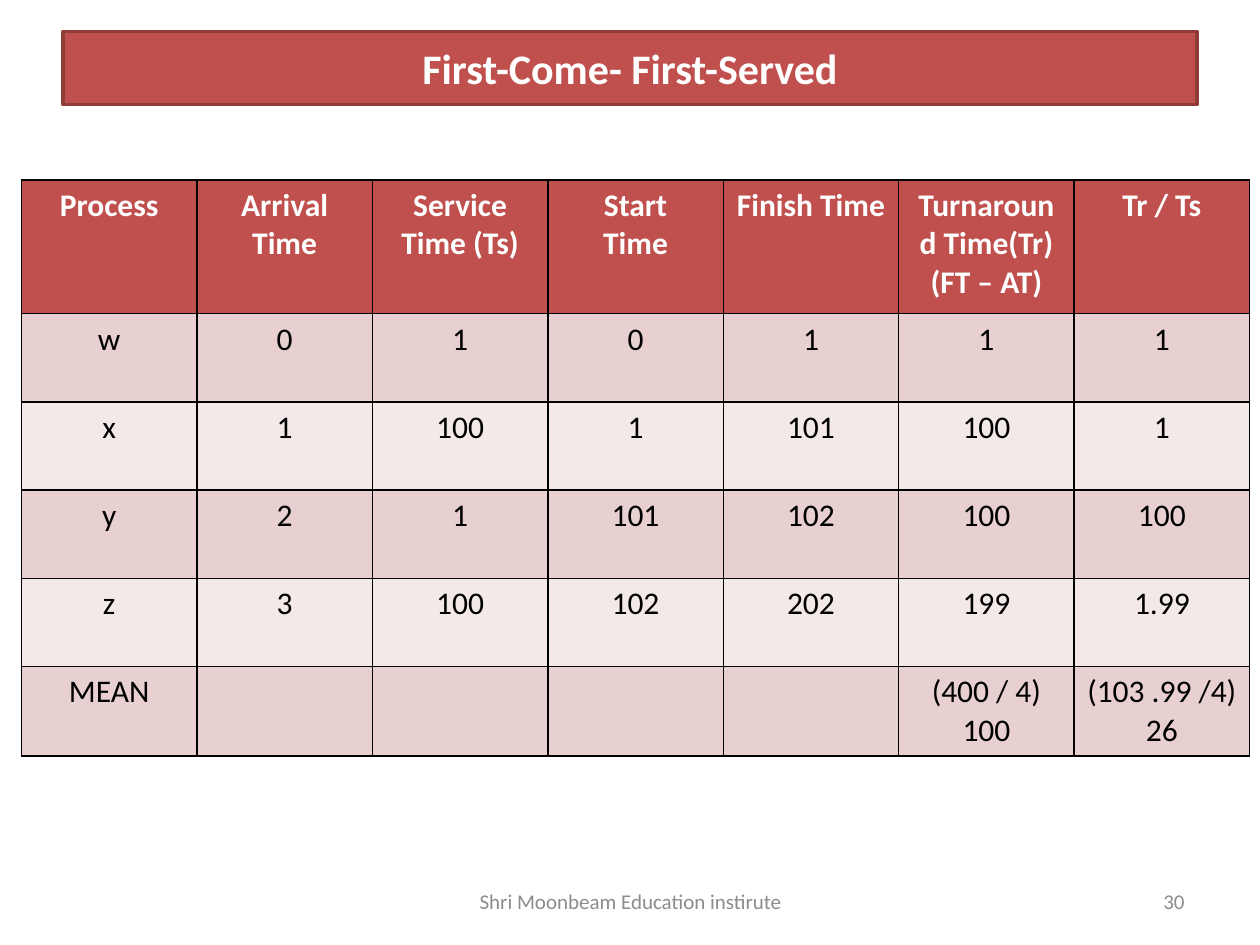
from lxml.etree import SubElement
from pptx import Presentation
from pptx.dml.color import RGBColor
from pptx.enum.shapes import MSO_SHAPE
from pptx.enum.text import MSO_ANCHOR, PP_ALIGN
from pptx.oxml.ns import qn
from pptx.util import Inches, Pt

RED, EDGE, BLACK, WHITE, GREY = "C0504D", "8E3B39", "000000", "FFFFFF", "8C8C8C"
BANDS = ["E8D0D0", "F4E9E9"]
ROWS = [
    ["Process", "Arrival Time", "Service Time (Ts)", "Start\nTime", "Finish Time",
     "Turnaround Time(Tr) (FT – AT)", "Tr / Ts"],
    ["w", "0", "1", "0", "1", "1", "1"],
    ["x", "1", "100", "1", "101", "100", "1"],
    ["y", "2", "1", "101", "102", "100", "100"],
    ["z", "3", "100", "102", "202", "199", "1.99"],
    ["MEAN", "", "", "", "", "(400 / 4)\n100", "(103 .99 /4)\n26"],
]


def rgb(value):
    return RGBColor.from_string(value)


def write(tf, text, size=18, color=BLACK, bold=False, align=PP_ALIGN.CENTER):
    """Fill a text frame, one paragraph per line of text."""
    tf.word_wrap = True
    tf.text = text
    for p in tf.paragraphs:
        p.alignment = align
        p.font.name, p.font.size, p.font.bold = "Calibri", Pt(size), bold
        p.font.color.rgb = rgb(color)


prs = Presentation()
prs.slide_width, prs.slide_height = Inches(10), Inches(7.5)
W, H = prs.slide_width, prs.slide_height
s = prs.slides.add_slide(prs.slide_layouts[6])

# Title bar
title = s.shapes.add_shape(MSO_SHAPE.RECTANGLE, int(W * 0.05), Inches(0.25),
                           int(W * 0.9), Inches(0.58))
title.shadow.inherit = False
title.fill.solid()
title.fill.fore_color.rgb = rgb(RED)
title.line.color.rgb = rgb(EDGE)
title.line.width = Pt(2)
title.text_frame.vertical_anchor = MSO_ANCHOR.MIDDLE
write(title.text_frame, "First-Come- First-Served", size=24, color=WHITE, bold=True)

# Scheduling table
HEAD_H, ROW_H = Inches(1.06), Inches(0.7)
table = s.shapes.add_table(len(ROWS), len(ROWS[0]), Inches(0.17), Inches(1.43),
                           Inches(9.75), HEAD_H + ROW_H * (len(ROWS) - 1)).table
for i, values in enumerate(ROWS):
    head = i == 0
    table.rows[i].height = HEAD_H if head else ROW_H
    for j, text in enumerate(values):
        cell = table.cell(i, j)
        write(cell.text_frame, text, color=WHITE if head else BLACK, bold=head)
        tcPr = cell._tc.get_or_add_tcPr()
        for side in ("a:lnL", "a:lnR", "a:lnT", "a:lnB"):
            ln = SubElement(tcPr, qn(side), w=str(Pt(1)))
            SubElement(SubElement(ln, qn("a:solidFill")), qn("a:srgbClr"), val=BLACK)
        cell.fill.solid()
        cell.fill.fore_color.rgb = rgb(RED if head else BANDS[(i - 1) % 2])

# Footer and slide number
for left, width, text, align in [
    (3.42, 3.17, "Shri Moonbeam Education instirute", PP_ALIGN.CENTER),
    (7.17, 2.33, "30", PP_ALIGN.RIGHT),
]:
    box = s.shapes.add_textbox(Inches(left), Inches(6.95), Inches(width), Inches(0.4))
    box.text_frame.vertical_anchor = MSO_ANCHOR.MIDDLE
    write(box.text_frame, text, size=12, color=GREY, align=align)

prs.save("out.pptx")
